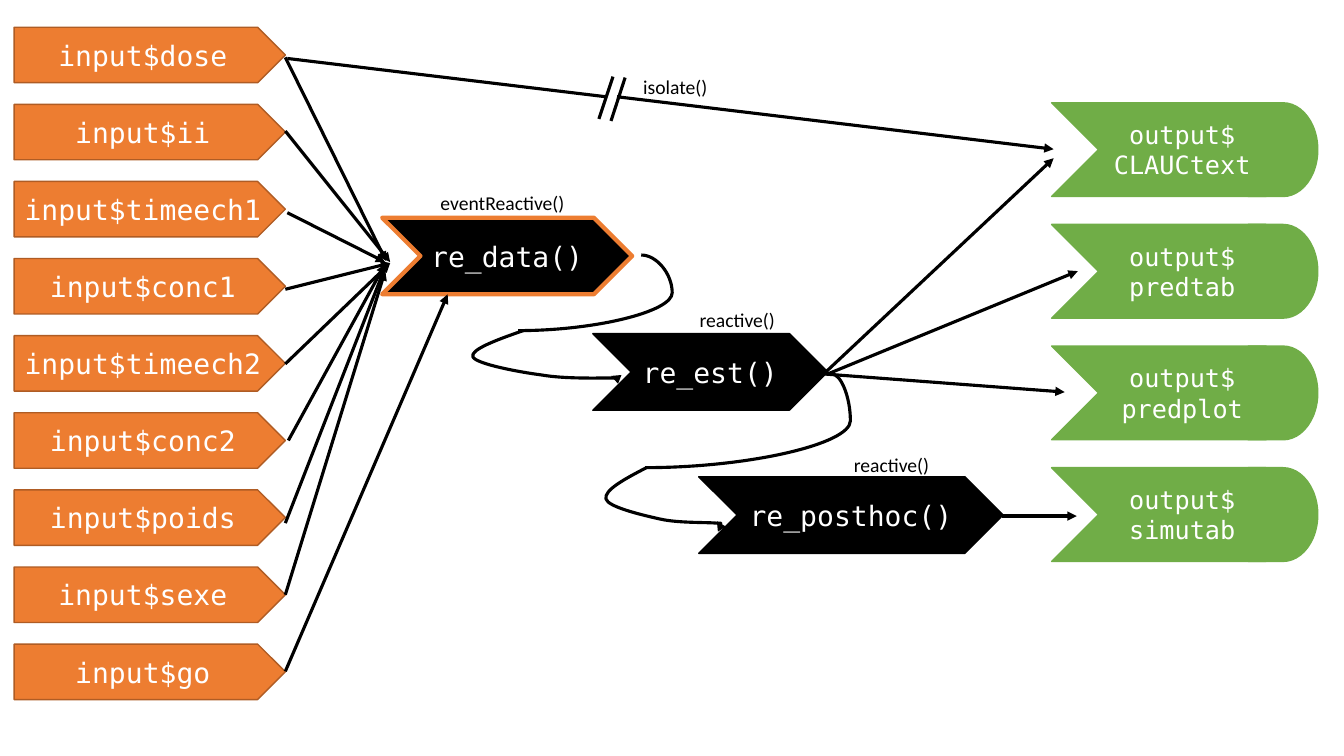
from lxml import etree
from pptx import Presentation
from pptx import util as u
from pptx.dml.color import RGBColor
from pptx.enum import shapes, text
from pptx.oxml.ns import qn

# Content, lengths in px (100 to the inch)
PX = 9144
SLIDE_W, SLIDE_H = 1333, 750
MONO, SANS = "DejaVu Sans Mono", "Calibri"
COLORS = {"input": "ED7D31", "input_edge": "AF5C24", "output": "70AD47",
          "reactive": "000000", "ink": "000000", "light": "FFFFFF"}

INPUTS = ["dose", "ii", "timeech1", "conc1", "timeech2", "conc2", "poids", "sexe", "go"]
INPUT_BOX = (14, 27, 269, 55)
INPUT_LAST_TOP = 639

OUTPUTS = ["CLAUCtext", "predtab", "predplot", "simutab"]
OUTPUT_BOX = (1043, 102, 259, 93)
OUTPUT_LAST_TOP = 464
DELAY_LEFT, DELAY_W = 1238, 69

# Label, box, edge colour, edge width in points
REACTIVES = [
    ("re_data()", (379, 216, 248, 76), "input", 3),
    ("re_est()", (588, 331, 233, 76), "reactive", 1),
    ("re_posthoc()", (693, 473, 302, 76), "reactive", 1),
]
CAPTIONS = [
    ("isolate()", (628, 69, 85, 34)),
    ("eventReactive()", (427, 184, 145, 34)),
    ("reactive()", (684, 301, 96, 34)),
    ("reactive()", (837, 444, 96, 34)),
]

ARROWS = [
    # inputs to re_data
    ((283, 590), (382, 269)), ((283, 519), (382, 265)), ((286, 437), (382, 262)),
    ((283, 361), (387, 261)), ((283, 287), (387, 261)), ((285, 211), (382, 260)),
    ((283, 130), (387, 260)), ((283, 57), (383, 259)), ((283, 666), (444, 292)),
    # reactives to outputs
    ((821, 371), (1069, 269)), ((817, 371), (1045, 157)), ((817, 371), (1056, 389)),
    ((994, 512), (1068, 512)),
    # isolated link, right half
    ((612, 96), (1045, 148)),
]
# Isolated link, left half, and its two break strokes
PLAIN_LINES = [((285, 58), (601, 96)), ((594, 118), (608, 76)), ((606, 120), (620, 77))]

# Start, end, bend as a share of the width in 1/100000
BENDS = [((636, 253), (514, 328), -25200), ((825, 371), (640, 464), -10000)]
# Start point, then three Bézier points per segment
LOOPS = [
    [(519, 328), (493, 337), (466, 347), (469, 354), (472, 361), (514, 369), (537, 372),
     (560, 376), (594, 375), (606, 375), (618, 375), (612, 374), (606, 373)],
    [(641, 464), (620, 475), (599, 486), (601, 495), (603, 503), (637, 511), (655, 515),
     (673, 519), (701, 518), (711, 519), (720, 519), (715, 518), (711, 517)],
]

deck = Presentation()
deck.slide_width, deck.slide_height = SLIDE_W * PX, SLIDE_H * PX
slide = deck.slides.add_slide(deck.slide_layouts[6])


def emu(lengths):
    return [round(n * PX) for n in lengths]


def rgb(name):
    return RGBColor.from_string(COLORS[name])


def write(frame, words, font, size, color, align):
    frame.text = words
    for paragraph in frame.paragraphs:
        paragraph.alignment = align
        for run in paragraph.runs:
            run.font.name, run.font.size = font, u.Pt(size)
            run.font.color.rgb = rgb(color)


def block(parent, kind, box, fill, edge, edge_pt=1, words="", size=20):
    shape = parent.add_shape(kind, *emu(box))
    shape.shadow.inherit = False
    shape.fill.solid()
    shape.fill.fore_color.rgb = rgb(fill)
    shape.line.color.rgb = rgb(edge)
    shape.line.width = u.Pt(edge_pt)
    if words:
        shape.text_frame.vertical_anchor = text.MSO_ANCHOR.MIDDLE
        write(shape.text_frame, words, MONO, size, "light", text.PP_ALIGN.CENTER)


def ink(line, arrow):
    line.color.rgb = rgb("ink")
    line.width = u.Pt(2.25)
    if arrow:
        etree.SubElement(line._get_or_add_ln(), qn("a:tailEnd"), type="triangle")


def link(start, end, arrow=False, bend=None):
    kind = shapes.MSO_CONNECTOR.STRAIGHT if bend is None else shapes.MSO_CONNECTOR.CURVE
    connector = slide.shapes.add_connector(kind, *emu(start + end))
    ink(connector.line, arrow)
    props = connector._element.spPr
    etree.SubElement(props, qn("a:effectLst"))
    if bend is not None:
        guides = props.find(qn("a:prstGeom")).get_or_add_avLst()
        etree.SubElement(guides, qn("a:gd"), name="adj1", fmla=f"val {bend}")


def loop(points):
    builder = slide.shapes.build_freeform(*points[0], scale=PX)
    builder.add_line_segments(points[1:], close=False)
    curve = builder.convert_to_shape()
    curve.shadow.inherit = False
    curve.fill.background()
    ink(curve.line, True)
    # Join each three straight steps into one Bézier segment
    steps = list(curve._element.iter(qn("a:lnTo")))
    for i in range(0, len(steps), 3):
        bezier = etree.Element(qn("a:cubicBezTo"))
        steps[i].addprevious(bezier)
        for step in steps[i:i + 3]:
            bezier.append(step[0])
            step.getparent().remove(step)


# Input column
left, top, width, height = INPUT_BOX
pitch = (INPUT_LAST_TOP - top) / (len(INPUTS) - 1)
for row, name in enumerate(INPUTS):
    block(slide.shapes, shapes.MSO_SHAPE.PENTAGON, (left, top + row * pitch, width, height),
          "input", "input_edge", words=f"input${name}")

# Output column: a rounded end behind each chevron
left, top, width, height = OUTPUT_BOX
pitch = (OUTPUT_LAST_TOP - top) / (len(OUTPUTS) - 1)
for row, name in enumerate(OUTPUTS):
    y = top + row * pitch
    output = slide.shapes.add_group_shape().shapes
    block(output, shapes.MSO_SHAPE.FLOWCHART_DELAY, (DELAY_LEFT, y, DELAY_W, height),
          "output", "output")
    block(output, shapes.MSO_SHAPE.CHEVRON, (left, y, width, height),
          "output", "output", words=f"output$\n{name}", size=18)

# Reactive steps
for label, box, edge, edge_pt in REACTIVES:
    block(slide.shapes, shapes.MSO_SHAPE.CHEVRON, box, "reactive", edge, edge_pt, label)

# Links
for start, end in ARROWS:
    link(start, end, arrow=True)
for start, end in PLAIN_LINES:
    link(start, end)
for start, end, bend in BENDS:
    link(start, end, bend=bend)
for points in LOOPS:
    loop(points)

# Captions
for words, box in CAPTIONS:
    caption = slide.shapes.add_textbox(*emu(box)).text_frame
    caption.word_wrap = False
    caption.auto_size = text.MSO_AUTO_SIZE.SHAPE_TO_FIT_TEXT
    write(caption, words, SANS, 14, "ink", text.PP_ALIGN.LEFT)

deck.save("out.pptx")
